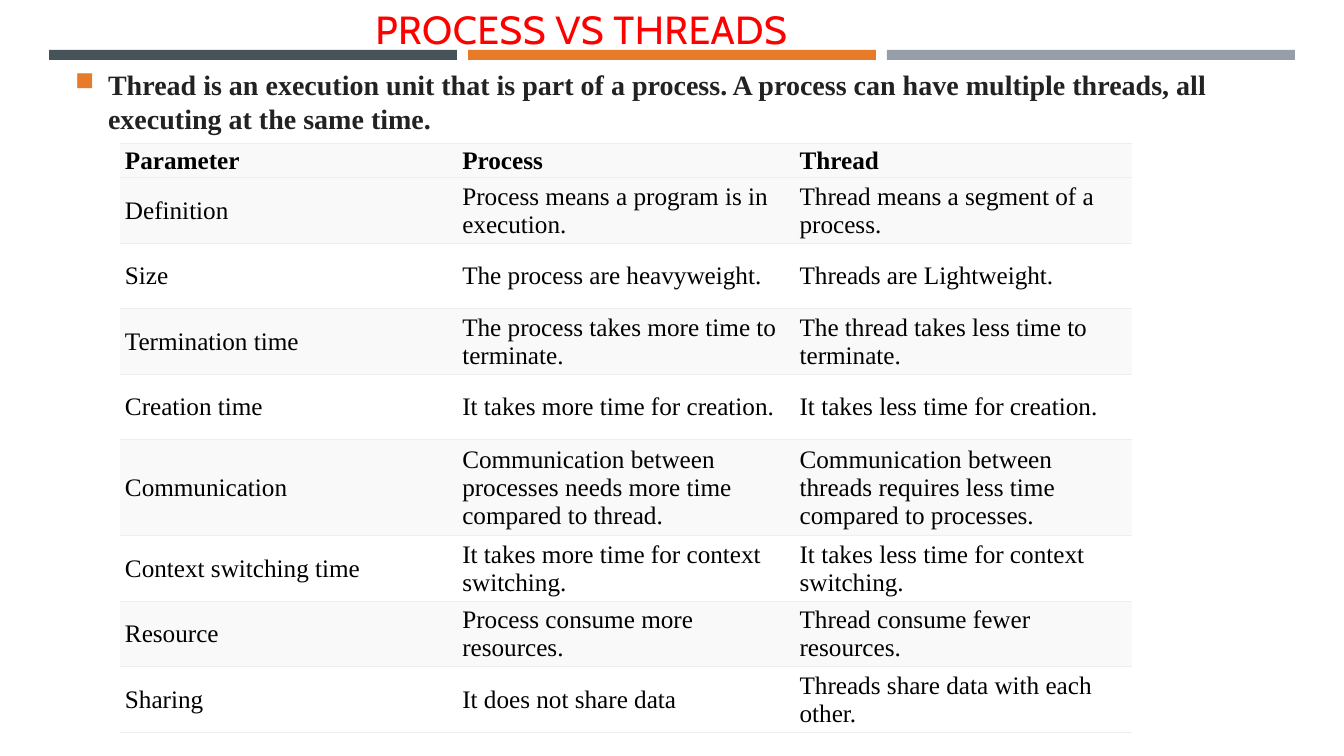
from lxml import etree
from pptx import Presentation
from pptx.dml.color import RGBColor
from pptx.enum.shapes import MSO_SHAPE
from pptx.enum.text import MSO_ANCHOR, PP_ALIGN
from pptx.oxml import parse_xml
from pptx.oxml.ns import nsdecls, qn
from pptx.util import Pt

RECT = MSO_SHAPE.RECTANGLE
TOP, MIDDLE = MSO_ANCHOR.TOP, MSO_ANCHOR.MIDDLE
CENTER, LEFT = PP_ALIGN.CENTER, PP_ALIGN.LEFT
PX = 9071.43
SERIF = "Times New Roman"
COLORS = {
    "slate": "465359", "orange": "E77B29", "gray": "969FA7",
    "red": "FF0000", "ink": "222222", "black": "000000",
    "band": "F9F9F9", "white": "FFFFFF", "rule": "EEEEEE",
}
TITLE = "PROCESS VS THREADS"
INTRO = ("Thread is an execution unit that is part of a process. "
         "A process can have multiple threads, all executing at the same time.")
ROWS = [
    ("Parameter", "Process", "Thread"),
    ("Definition", "Process means a program is in execution.",
     "Thread means a segment of a process."),
    ("Size", "The process are heavyweight.", "Threads are Lightweight."),
    ("Termination time", "The process takes more time to terminate.",
     "The thread takes less time to terminate."),
    ("Creation time", "It takes more time for creation.",
     "It takes less time for creation."),
    ("Communication",
     "Communication between processes needs more time compared to thread.",
     "Communication between threads requires less time compared to processes."),
    ("Context switching time", "It takes more time for context switching.",
     "It takes less time for context switching."),
    ("Resource", "Process consume more resources.",
     "Thread consume fewer resources."),
    ("Sharing", "It does not share data", "Threads share data with each other."),
]
HEIGHTS = [35, 66, 65, 66, 65, 96, 66, 65, 66]


def px(num):
    return round(num * PX)


def tint(name):
    return RGBColor.from_string(COLORS[name])


def style(item, **vals):
    for key, val in vals.items():
        setattr(item, key, val)


def write(frame, text, size, color, font=SERIF, bold=False, align=LEFT):
    para = frame.paragraphs[0]
    para.alignment = align
    run = para.add_run()
    run.text = text
    style(run.font, name=font, size=Pt(size), bold=bold)
    run.font.color.rgb = tint(color)
    return para


def pad(item, side, edge):
    style(item, margin_left=px(side), margin_right=px(side),
          margin_top=px(edge), margin_bottom=px(edge))


def add_bars(slide, left, top, width, height, gap=11):
    names = ("slate", "orange", "gray")
    size = (width - gap * (len(names) - 1)) / len(names)
    for i, name in enumerate(names):
        bar = slide.shapes.add_shape(RECT, px(left + i * (size + gap)), px(top),
                                     px(size), px(height))
        bar.shadow.inherit = False
        bar.fill.solid()
        bar.fill.fore_color.rgb = tint(name)
        bar.line.fill.background()


def add_title(slide, left, top, width, height):
    title = slide.shapes.title
    style(title, left=px(left), top=px(top), width=px(width), height=px(height))
    frame = title.text_frame
    style(frame, word_wrap=True, vertical_anchor=MIDDLE)
    pad(frame, 10, 5)
    para = write(frame, TITLE, 28, "red", "Cabin", align=CENTER)
    para.runs[0].font._element.set("spc", "35")


def add_intro(slide, left, top, width, height, indent=33):
    box = slide.shapes.add_textbox(px(left), px(top), px(width), px(height))
    frame = box.text_frame
    style(frame, word_wrap=True, vertical_anchor=TOP)
    pad(frame, 10, 0)
    para = write(frame, INTRO, 20, "ink", bold=True)
    props = para._p.get_or_add_pPr()
    props.set("marL", str(px(indent)))
    props.set("indent", str(-px(indent)))
    color = etree.SubElement(props, qn("a:buClr"))
    etree.SubElement(color, qn("a:srgbClr"), val=COLORS["orange"])
    etree.SubElement(props, qn("a:buSzPct"), val="92000")
    etree.SubElement(props, qn("a:buChar"), char="■")


def add_edges(cell):
    """Rule the top and bottom of a cell and clear its sides."""
    props = cell._tc.get_or_add_tcPr()
    rule = f'<a:solidFill><a:srgbClr val="{COLORS["rule"]}"/></a:solidFill>'
    edges = {"lnL": "<a:noFill/>", "lnR": "<a:noFill/>", "lnT": rule, "lnB": rule}
    for i, (tag, fill) in enumerate(edges.items()):
        line = f'<a:{tag} {nsdecls("a")} w="{Pt(0.75)}">{fill}</a:{tag}>'
        props.insert(i, parse_xml(line))


def add_grid(slide, left, top, width):
    count = len(ROWS[0])
    shape = slide.shapes.add_table(len(ROWS), count, px(left), px(top),
                                   px(width), px(sum(HEIGHTS)))
    table = shape.table
    style(table, first_row=False, horz_banding=False)
    for col in table.columns:
        col.width = px(width / count)
    for i, (row, texts) in enumerate(zip(table.rows, ROWS)):
        row.height = px(HEIGHTS[i])
        shade = "band" if i == 0 or i % 2 else "white"
        for cell, text in zip(row.cells, texts):
            cell.vertical_anchor = MIDDLE
            pad(cell, 5, 2)
            cell.fill.solid()
            cell.fill.fore_color.rgb = tint(shade)
            add_edges(cell)
            write(cell.text_frame, text, 18, "black", bold=i == 0)


def main():
    deck = Presentation()
    style(deck, slide_width=px(1344), slide_height=px(756))
    slide = deck.slides.add_slide(deck.slide_layouts[5])
    add_bars(slide, 49, 50, 1246, 10)
    add_intro(slide, 65, 68, 1216, 66)
    add_title(slide, 99, 0, 965, 57)
    add_grid(slide, 120, 143, 1012)
    deck.save("out.pptx")


if __name__ == "__main__":
    main()
